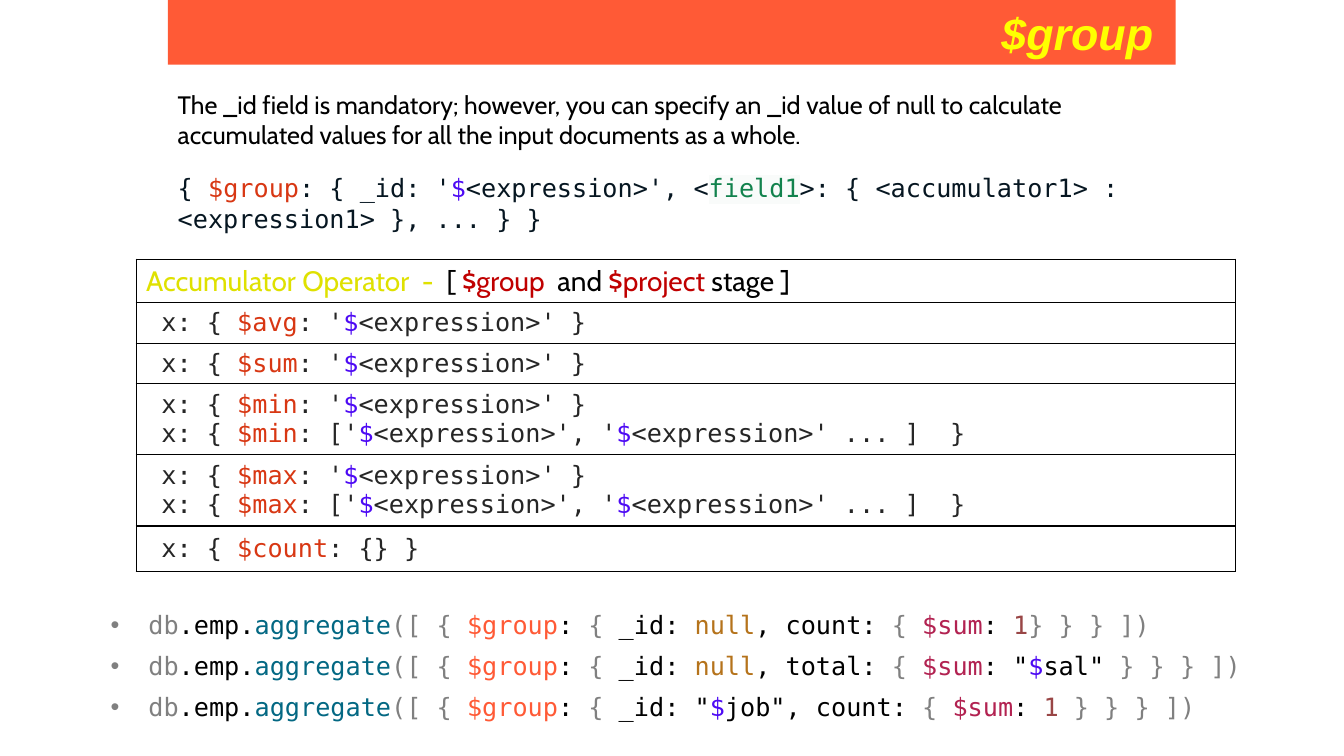
from dataclasses import dataclass
from typing import NamedTuple

from lxml.etree import SubElement
from pptx import Presentation
from pptx.dml.color import RGBColor
from pptx.enum.shapes import MSO_SHAPE
from pptx.enum.text import MSO_ANCHOR, MSO_AUTO_SIZE, PP_ALIGN
from pptx.oxml import parse_xml
from pptx.oxml.ns import nsdecls, qn
from pptx.util import Cm, Pt


@dataclass(frozen=True)
class Theme:
    title_font: str = "Arial"
    prose_font: str = "Cabin"
    code_font: str = "DejaVu Sans Mono"
    title_size: int = 32
    heading_size: int = 20
    body_size: int = 18
    bullet_gap: float = 7.5
    border_width: int = 1
    banner: str = "FF5A36"
    title: str = "FFFF00"
    black: str = "000000"
    heading: str = "DFE100"
    stage: str = "C00000"
    syntax: str = "061621"
    code: str = "262626"
    operator: str = "D83713"
    dollar: str = "4D0AF4"
    field: str = "12824D"
    field_back: str = "F9FBFA"
    punctuation: str = "808080"
    method: str = "036883"
    null: str = "B5731B"
    accumulator: str = "B22251"
    number: str = "994646"


THEME = Theme()


class Span(NamedTuple):
    text: str
    color: str
    highlight: str = ""


class Area(NamedTuple):
    left: float
    top: float
    width: float
    height: float

    def lengths(self) -> list:
        return [Cm(value) for value in self]


Line = list[Span]

BANNER = Area(4.23, 0, 25.4, 1.63)
INTRO = Area(4.23, 2.12, 25.4, 1.8)
SYNTAX = Area(4.23, 4.23, 25.4, 1.8)
OPERATORS = Area(3.43, 6.53, 27.71, 7.86)
EXAMPLES = Area(2.54, 15.24, 29.42, 3.07)
ROW_HEIGHTS = [1.09, 1.02, 1.02, 1.79, 1.79, 1.15]
BULLET_INDENT = 0.95


# Coloured lines of text
def operator_line(operator: str, before: str, *after: str) -> Line:
    """Each piece in after follows a highlighted dollar sign."""
    line = [Span(" x: { ", THEME.code), Span(operator, THEME.operator),
            Span(before, THEME.code)]
    for piece in after:
        line += [Span("$", THEME.dollar), Span(piece, THEME.code)]
    return line


def single_line(operator: str) -> Line:
    return operator_line(operator, ": '", "<expression>' }")


def array_line(operator: str) -> Line:
    return operator_line(operator, ": ['", "<expression>', '", "<expression>' ... ]  }")


def aggregate_line(key: Line, total: Line, closing: str) -> Line:
    return [
        Span("db", THEME.punctuation), Span(".emp.", THEME.black),
        Span("aggregate", THEME.method), Span("([ { ", THEME.punctuation),
        Span("$group", THEME.banner), Span(": ", THEME.black),
        Span("{ ", THEME.punctuation), *key,
        Span("{ ", THEME.punctuation), Span("$sum", THEME.accumulator),
        *total, Span(closing, THEME.punctuation),
    ]


def null_key(name: str) -> Line:
    return [Span("_id: ", THEME.black), Span("null", THEME.null),
            Span(f", {name}: ", THEME.black)]


INTRO_LINE = [Span("The _id field is mandatory; however, you can specify an _id value of null "
                   "to calculate accumulated values for all the input documents as a whole.",
                   THEME.black)]
SYNTAX_LINE = [
    Span("{ ", THEME.syntax), Span("$group", THEME.operator),
    Span(": { _id: '", THEME.syntax), Span("$", THEME.dollar),
    Span("<expression>', <", THEME.syntax),
    Span("field1", THEME.field, THEME.field_back),
    Span(">: { <accumulator1> : <expression1> }, ... } }", THEME.syntax),
]
HEADING_LINE = [
    Span("Accumulator Operator  -  ", THEME.heading), Span("[ ", THEME.black),
    Span("$group  ", THEME.stage), Span("and ", THEME.black),
    Span("$project ", THEME.stage), Span("stage ]", THEME.black),
]
OPERATOR_ROWS = [
    [single_line("$avg")],
    [single_line("$sum")],
    [single_line("$min"), array_line("$min")],
    [single_line("$max"), array_line("$max")],
    [operator_line("$count", ": {} }")],
]
EXAMPLE_LINES = [
    aggregate_line(null_key("count"),
                   [Span(": ", THEME.black), Span("1", THEME.number)], "} } } ])"),
    aggregate_line(null_key("total"),
                   [Span(': "', THEME.black), Span("$", THEME.dollar),
                    Span('sal" ', THEME.black)], "} } } ])"),
    aggregate_line([Span('_id: "', THEME.black), Span("$", THEME.dollar),
                    Span('job", count: ', THEME.black)],
                   [Span(": ", THEME.black), Span("1 ", THEME.number)], "} } } ])"),
]


# Drawing
def write_lines(frame, lines: list[Line], font: str, size: int, bullets: bool = False) -> None:
    for index, line in enumerate(lines):
        paragraph = frame.add_paragraph() if index else frame.paragraphs[0]
        if bullets:
            add_bullet(paragraph)
            if index:
                paragraph.space_before = Pt(THEME.bullet_gap)
        for span in line:
            run = paragraph.add_run()
            run.text = span.text
            run.font.name = font
            run.font.size = Pt(size)
            run.font.color.rgb = RGBColor.from_string(span.color)
            if span.highlight:
                run.font._element.find(qn("a:solidFill")).addnext(parse_xml(
                    f'<a:highlight {nsdecls("a")}><a:srgbClr val="{span.highlight}"/>'
                    "</a:highlight>"))


def add_bullet(paragraph) -> None:
    properties = paragraph._p.get_or_add_pPr()
    properties.set("marL", str(Cm(BULLET_INDENT)))
    properties.set("indent", str(-Cm(BULLET_INDENT)))
    SubElement(properties, qn("a:buFont"), typeface=THEME.title_font)
    SubElement(properties, qn("a:buChar"), char="•")


def add_text(page, area: Area, lines: list[Line], font: str, bullets: bool = False) -> None:
    frame = page.shapes.add_textbox(*area.lengths()).text_frame
    frame.word_wrap = True
    write_lines(frame, lines, font, THEME.body_size, bullets)


def add_banner(page) -> None:
    banner = page.shapes.add_shape(MSO_SHAPE.RECTANGLE, *BANNER.lengths())
    banner.shadow.inherit = False
    banner.fill.solid()
    banner.fill.fore_color.rgb = RGBColor.from_string(THEME.banner)
    banner.line.fill.background()
    frame = banner.text_frame
    frame.auto_size = MSO_AUTO_SIZE.SHAPE_TO_FIT_TEXT
    write_lines(frame, [[Span("$group ", THEME.title)]], THEME.title_font, THEME.title_size)
    paragraph = frame.paragraphs[0]
    paragraph.alignment = PP_ALIGN.RIGHT
    paragraph.runs[0].font.bold = True
    paragraph.runs[0].font.italic = True


def frame_cell(cell) -> None:
    cell.fill.background()
    properties = cell._tc.get_or_add_tcPr()
    for index, side in enumerate(("lnL", "lnR", "lnT", "lnB")):
        properties.insert(index, parse_xml(
            f'<a:{side} {nsdecls("a")} w="{Pt(THEME.border_width)}"><a:solidFill>'
            f'<a:srgbClr val="{THEME.black}"/></a:solidFill></a:{side}>'))


def add_operator_table(page) -> None:
    table = page.shapes.add_table(len(ROW_HEIGHTS), 1, *OPERATORS.lengths()).table
    table.first_row = False
    table.horz_banding = False
    for index, (height, lines) in enumerate(zip(ROW_HEIGHTS, [[HEADING_LINE], *OPERATOR_ROWS])):
        table.rows[index].height = Cm(height)
        cell = table.cell(index, 0)
        cell.vertical_anchor = MSO_ANCHOR.MIDDLE
        frame_cell(cell)
        font, size = ((THEME.code_font, THEME.body_size) if index
                      else (THEME.prose_font, THEME.heading_size))
        write_lines(cell.text_frame, lines, font, size)


def main() -> None:
    deck = Presentation()
    deck.slide_width, deck.slide_height = Cm(33.87), Cm(19.05)
    page = deck.slides.add_slide(deck.slide_layouts[6])
    add_banner(page)
    add_text(page, INTRO, [INTRO_LINE], THEME.prose_font)
    add_text(page, SYNTAX, [SYNTAX_LINE], THEME.code_font)
    add_text(page, EXAMPLES, EXAMPLE_LINES, THEME.code_font, bullets=True)
    add_operator_table(page)
    deck.save("out.pptx")


if __name__ == "__main__":
    main()
